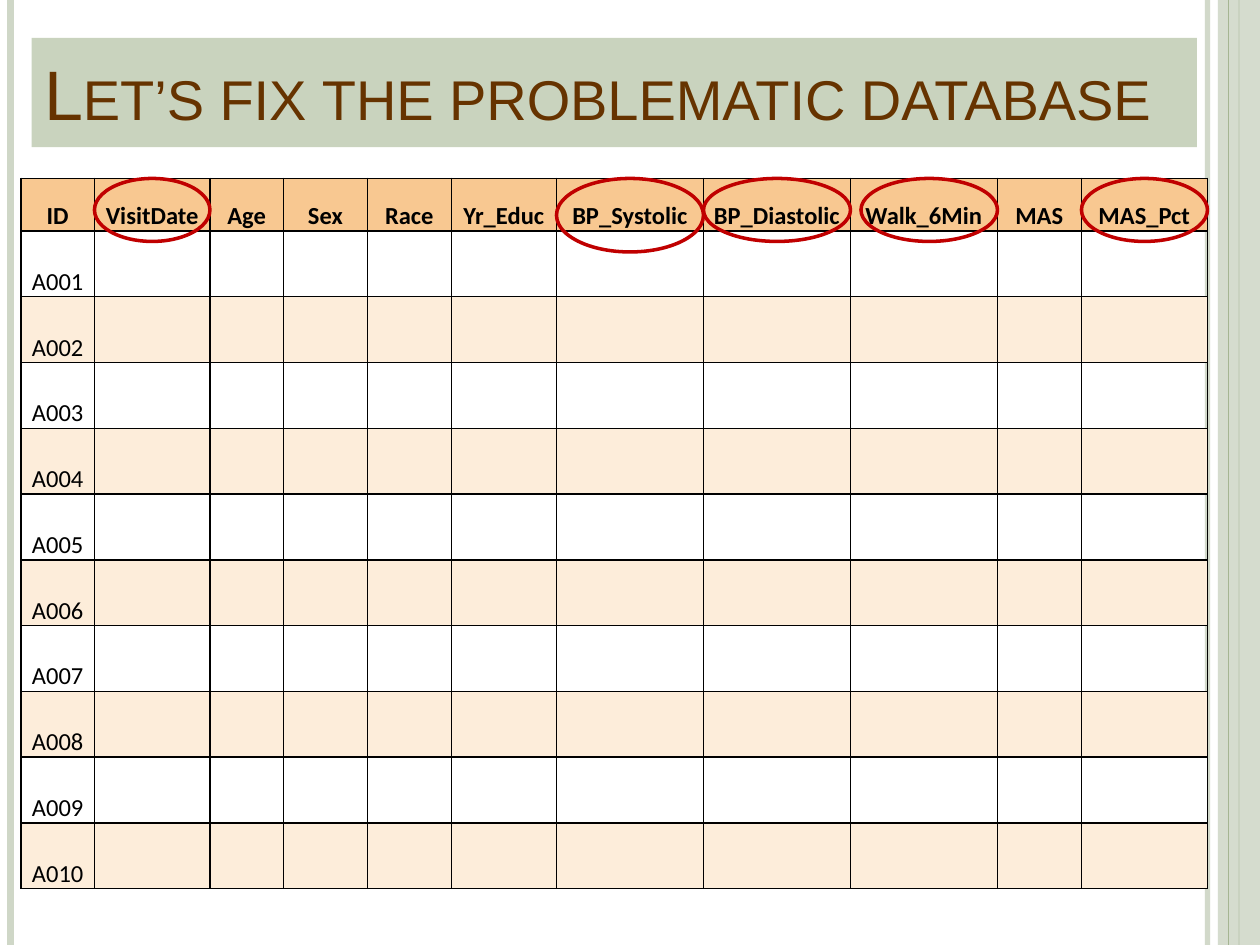
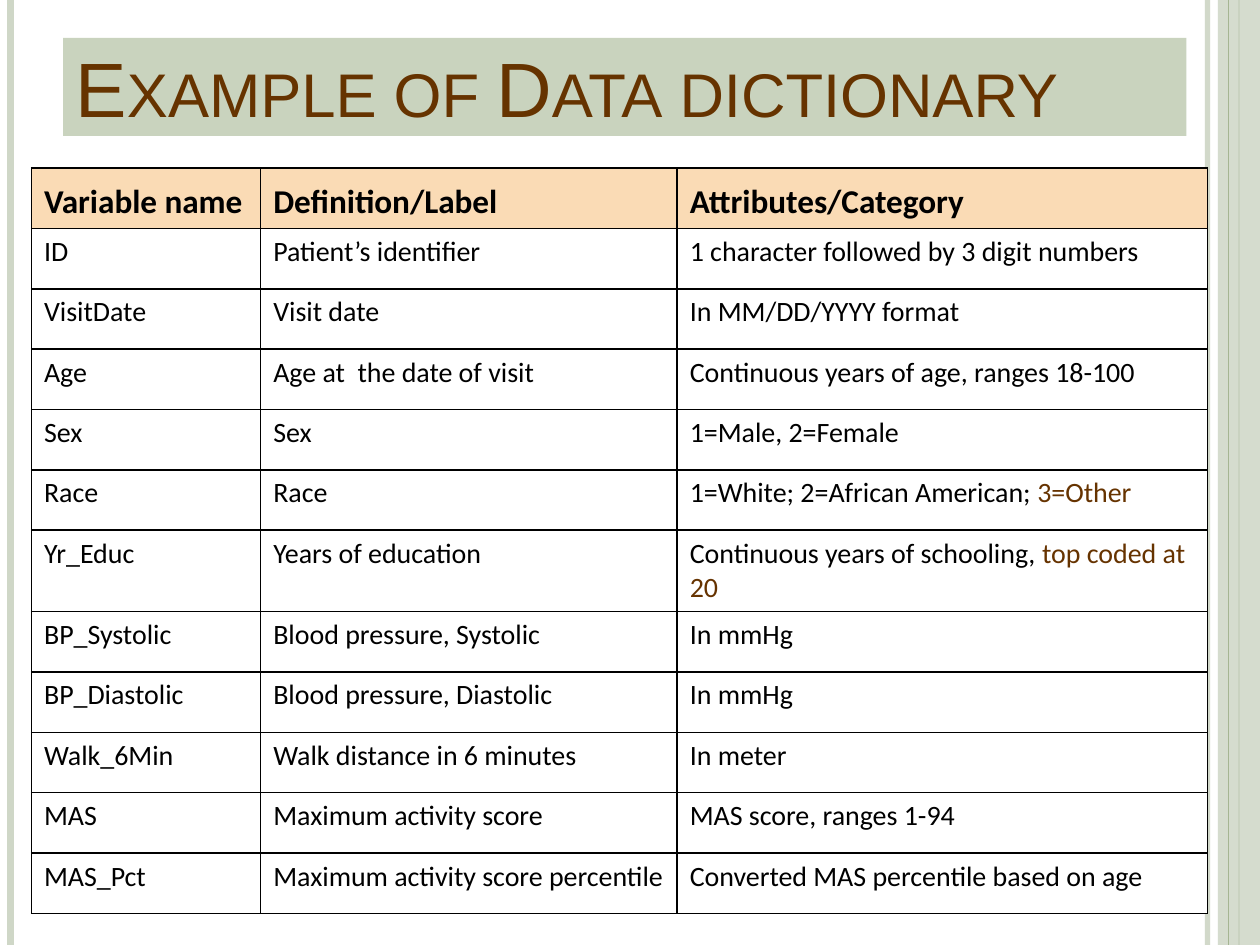
from lxml import etree
from pptx import Presentation
from pptx.dml.color import RGBColor
from pptx.enum.shapes import MSO_CONNECTOR, MSO_SHAPE
from pptx.enum.text import MSO_ANCHOR, MSO_AUTO_SIZE, PP_ALIGN
from pptx.oxml.ns import qn
from pptx.util import Pt

STRAIGHT = MSO_CONNECTOR.STRAIGHT
RECT, OVAL = MSO_SHAPE.RECTANGLE, MSO_SHAPE.OVAL
MIDDLE, BOTTOM, TOP = MSO_ANCHOR.MIDDLE, MSO_ANCHOR.BOTTOM, MSO_ANCHOR.TOP
LEFT, CENTER = PP_ALIGN.LEFT, PP_ALIGN.CENTER

HEX = {
    "pale": "CFD7C7", "sage": "A5B592", "band": "C9D3BE", "brown": "663300",
    "black": "000000", "white": "FFFFFF", "red": "C00000",
    "orange": "F8C891", "cream": "FDEDDA", "peach": "FADBB5",
}
COLOR = {name: RGBColor.from_string(value) for name, value in HEX.items()}


def set_alpha(element, percent):
    rgb = next(element.iter(qn("a:srgbClr")))
    etree.SubElement(rgb, qn("a:alpha"), val=str(percent * 1000))


def add_grid(s, left, top, widths, heights):
    """Add a plain table with thin black borders."""
    table = s.shapes.add_table(len(heights), len(widths), Pt(left), Pt(top),
                               Pt(sum(widths)), Pt(sum(heights))).table
    table.first_row = table.horz_banding = False
    for column, width in zip(table.columns, widths):
        column.width = Pt(width)
    for row, height in zip(table.rows, heights):
        row.height = Pt(height)
    for cell in table.iter_cells():
        tcPr = cell._tc.get_or_add_tcPr()
        for side in ("lnL", "lnR", "lnT", "lnB"):
            ln = etree.SubElement(tcPr, qn("a:" + side), w=str(Pt(1)))
            fill = etree.SubElement(ln, qn("a:solidFill"))
            etree.SubElement(fill, qn("a:srgbClr"), val=HEX["black"])
    return table


prs = Presentation()
prs.slide_width, prs.slide_height = Pt(720), Pt(540)

# Slides and their title bands: text, left, width, height, font size
titles = [
    ("Let’s fix the problematic database", 18, 666, 62.4, 40),
    ("Example of Data dictionary", 36, 642, 56, 44),
]
slides = []
for text, left, width, height, size in titles:
    s = prs.slides.add_slide(prs.slide_layouts[5])
    slides.append(s)
    title = s.shapes.title
    title.left, title.top = Pt(left), Pt(21.7)
    title.width, title.height = Pt(width), Pt(height)
    title.fill.solid()
    title.fill.fore_color.rgb = COLOR["band"]
    tf = title.text_frame
    tf.word_wrap, tf.auto_size = True, MSO_AUTO_SIZE.NONE
    tf.vertical_anchor = MIDDLE
    p = tf.paragraphs[0]
    p.alignment = LEFT
    p.font.name, p.font.size = "Arial", Pt(size)
    p.font.color.rgb = COLOR["brown"]
    r = p.add_run()
    r.text = text
    r.font._element.set("cap", "small")

# Side stripes, moved to the master so that every slide shows them
s = slides[0]
stripes = []
for x, color, weight in [(690, "pale", 3), (6, "pale", 4.5),
                         (708, "sage", 1.5), (702, "sage", 0.75)]:
    line = s.shapes.add_connector(STRAIGHT, Pt(x), 0, Pt(x), prs.slide_height)
    line.line.color.rgb = COLOR[color]
    line.line.width = Pt(weight)
    etree.SubElement(line._element.spPr, qn("a:effectLst"))
    stripes.append(line)
set_alpha(stripes[0]._element, 93)

edge = s.shapes.add_shape(RECT, Pt(696), 0, Pt(24), prs.slide_height)
edge.shadow.inherit = False
edge.fill.solid()
edge.fill.fore_color.rgb = COLOR["pale"]
set_alpha(edge._element.spPr, 87)
edge.line.fill.background()
stripes.insert(3, edge)

master_tree = prs.slide_master.shapes.element
for number, stripe in enumerate(stripes, 101):
    next(stripe._element.iter(qn("p:cNvPr"))).set("id", str(number))
    master_tree.append(stripe._element)

# Slide 1: empty database with patient rows
names = ["ID", "VisitDate", "Age", "Sex", "Race", "Yr_Educ", "BP_Systolic",
         "BP_Diastolic", "Walk_6Min", "MAS", "MAS_Pct"]
widths = [42, 66, 42, 48, 48, 60, 84, 84, 84, 48, 72]
grid_left, grid_top = 12, 102
table = add_grid(s, grid_left, grid_top, widths, [30] + [37.6] * 10)
for i, row in enumerate(table.rows):
    for j, cell in enumerate(row.cells):
        if i % 2 and i < 9:
            cell.fill.background()
        else:
            cell.fill.solid()
            cell.fill.fore_color.rgb = COLOR[
                "orange" if i == 0 else "white" if i % 2 else "cream"]
        if i and j:
            continue
        cell.margin_left = cell.margin_right = cell.margin_top = Pt(0.7)
        cell.margin_bottom = 0
        cell.vertical_anchor = BOTTOM
        p = cell.text_frame.paragraphs[0]
        p.text = f"A{i:03}" if i else names[j]
        p.alignment = CENTER
        p.font.name, p.font.size, p.font.bold = "Calibri", Pt(14), i == 0
        p.font.color.rgb = COLOR["black"]

# Red rings around the problem headings: name, left inset, height
for name, inset, height in [("VisitDate", 0, 36), ("BP_Diastolic", 0, 36),
                            ("Walk_6Min", 6, 36), ("MAS_Pct", 0, 36),
                            ("BP_Systolic", 0, 42)]:
    j = names.index(name)
    left = grid_left + sum(widths[:j]) + inset
    ring = s.shapes.add_shape(OVAL, Pt(left), Pt(grid_top),
                              Pt(widths[j] - inset), Pt(height))
    ring.shadow.inherit = False
    ring.fill.background()
    ring.line.color.rgb = COLOR["red"]
    ring.line.width = Pt(2)

# Slide 2: data dictionary; text after "|" is brown
entries = [
    ("Variable name", "Definition/Label", "Attributes/Category"),
    ("ID", "Patient’s identifier", "1 character followed by 3 digit numbers"),
    ("VisitDate", "Visit date", "In MM/DD/YYYY format"),
    ("Age", "Age at  the date of visit", "Continuous years of age, ranges 18-100"),
    ("Sex", "Sex", "1=Male, 2=Female"),
    ("Race", "Race", "1=White; 2=African American; |3=Other"),
    ("Yr_Educ", "Years of education",
     "Continuous years of schooling, |top coded at 20"),
    ("BP_Systolic", "Blood pressure, Systolic", "In mmHg"),
    ("BP_Diastolic", "Blood pressure, Diastolic", "In mmHg"),
    ("Walk_6Min", "Walk distance in 6 minutes", "In meter"),
    ("MAS", "Maximum activity score", "MAS score, ranges 1-94"),
    ("MAS_Pct", "Maximum activity score percentile",
     "Converted MAS percentile based on age"),
]
heights = [46.5 if entry[0] == "Yr_Educ" else 34.5 for entry in entries]
table = add_grid(slides[1], 18, 96, [131, 238, 303], heights)
for i, entry in enumerate(entries):
    for j, text in enumerate(entry):
        cell = table.cell(i, j)
        cell.fill.solid()
        cell.fill.fore_color.rgb = COLOR["white" if i else "peach"]
        cell.vertical_anchor = TOP if i else BOTTOM
        p = cell.text_frame.paragraphs[0]
        p.font.name, p.font.bold = "Calibri", i == 0
        p.font.size = Pt(16 if i else 19)
        for part, color in zip(text.split("|"), ("black", "brown")):
            r = p.add_run()
            r.text = part
            r.font.color.rgb = COLOR[color]

prs.save("out.pptx")
